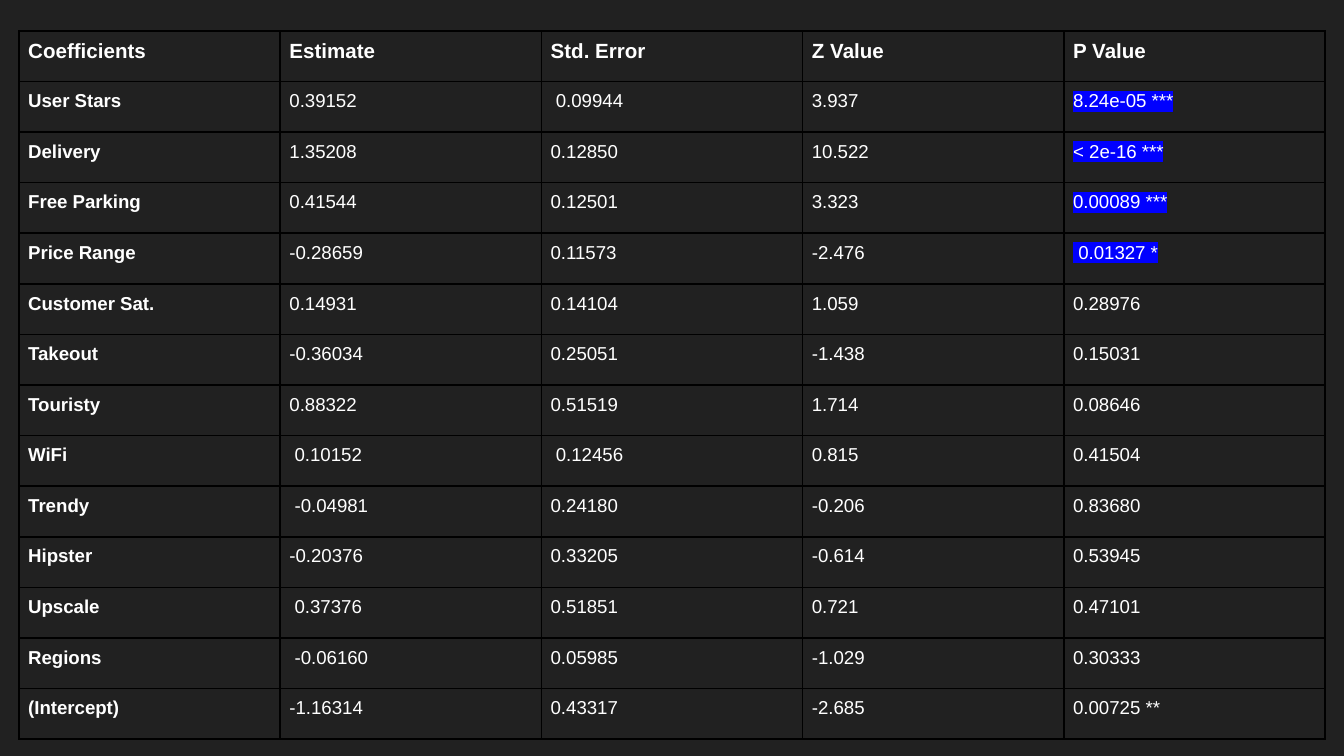
from lxml import etree
from pptx import Presentation
from pptx.dml.color import RGBColor
from pptx.oxml.ns import qn
from pptx.util import Inches, Pt

BACKGROUND = RGBColor(0x21, 0x21, 0x21)
WHITE = RGBColor(0xFF, 0xFF, 0xFF)
BLACK = RGBColor(0x00, 0x00, 0x00)
BLUE = RGBColor(0x00, 0x00, 0xFF)

FONT = "Arial"
HEADERS = ["Coefficients", "Estimate", "Std. Error", "Z Value", "P Value"]
COEFFICIENTS = [
    ("User Stars", "0.39152", " 0.09944", "3.937", "8.24e-05 ***"),
    ("Delivery", "1.35208", "0.12850", "10.522", "< 2e-16 ***"),
    ("Free Parking", "0.41544", "0.12501", "3.323", "0.00089 ***"),
    ("Price Range", "-0.28659", "0.11573", "-2.476", " 0.01327 *"),
    ("Customer Sat.", "0.14931", "0.14104", "1.059", "0.28976"),
    ("Takeout", "-0.36034", "0.25051", "-1.438", "0.15031"),
    ("Touristy", "0.88322", "0.51519", "1.714", "0.08646"),
    ("WiFi", " 0.10152", " 0.12456", "0.815", "0.41504"),
    ("Trendy", " -0.04981", "0.24180", "-0.206", "0.83680"),
    ("Hipster", "-0.20376", "0.33205", "-0.614", "0.53945"),
    ("Upscale", " 0.37376", "0.51851", "0.721", "0.47101"),
    ("Regions", " -0.06160", "0.05985", "-1.029", "0.30333"),
    ("(Intercept)", "-1.16314", "0.43317", "-2.685", "0.00725 **"),
]
HIGHLIGHTED = {"User Stars", "Delivery", "Free Parking", "Price Range"}

SLIDE_WIDTH = Inches(10)
SLIDE_HEIGHT = SLIDE_WIDTH * 9 // 16
LEFT, TOP = 0.14, 0.23
TABLE_WIDTH, TABLE_HEIGHT = 9.72, 5.27
CELL_MARGIN = Inches(0.07)
BORDER_WIDTH = Pt(1)


def add_color(parent, tag, color):
    holder = etree.SubElement(parent, qn(tag))
    etree.SubElement(holder, qn("a:srgbClr"), val=str(color))
    return holder


def set_borders(cell, color):
    properties = cell._tc.get_or_add_tcPr()
    for index, side in enumerate(("a:lnL", "a:lnR", "a:lnT", "a:lnB")):
        line = etree.Element(qn(side), w=str(BORDER_WIDTH))
        add_color(line, "a:solidFill", color)
        properties.insert(index, line)


def write_text(cell, text, size=10, bold=False, highlight=None):
    run = cell.text_frame.paragraphs[0].add_run()
    run.text = text
    font = run.font
    font.name = FONT
    font.size = Pt(size)
    font.bold = bold
    font.color.rgb = WHITE
    if highlight is not None:
        properties = run._r.get_or_add_rPr()
        marker = add_color(properties, "a:highlight", highlight)
        properties.find(qn("a:solidFill")).addnext(marker)


def format_cell(cell):
    cell.margin_left = cell.margin_right = CELL_MARGIN
    cell.margin_top = cell.margin_bottom = CELL_MARGIN
    cell.fill.background()
    set_borders(cell, BLACK)


def build_table(slide):
    rows = [HEADERS, *COEFFICIENTS]
    table = slide.shapes.add_table(
        len(rows), len(HEADERS),
        Inches(LEFT), Inches(TOP), Inches(TABLE_WIDTH), Inches(TABLE_HEIGHT),
    ).table
    table.first_row = False
    table.horz_banding = False
    last_column = len(HEADERS) - 1
    for row_index, values in enumerate(rows):
        is_header = row_index == 0
        for column_index, value in enumerate(values):
            cell = table.cell(row_index, column_index)
            format_cell(cell)
            marked = column_index == last_column and values[0] in HIGHLIGHTED
            write_text(
                cell, value,
                size=11 if is_header else 10,
                bold=is_header or column_index == 0,
                highlight=BLUE if marked else None,
            )


def main():
    presentation = Presentation()
    presentation.slide_width = SLIDE_WIDTH
    presentation.slide_height = SLIDE_HEIGHT
    slide = presentation.slides.add_slide(presentation.slide_layouts[6])
    slide.background.fill.solid()
    slide.background.fill.fore_color.rgb = BACKGROUND
    build_table(slide)
    presentation.save("out.pptx")


if __name__ == "__main__":
    main()
